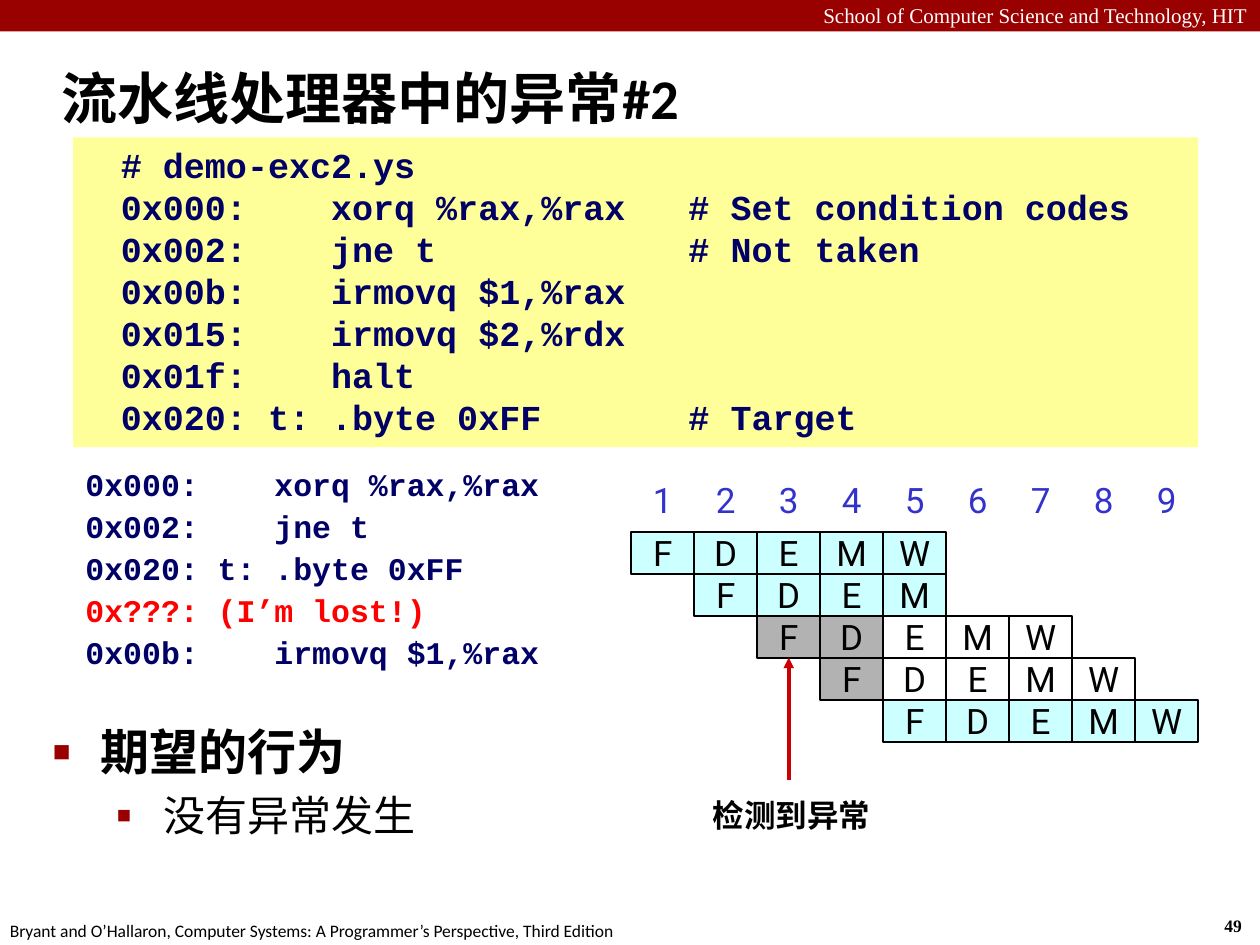
from dataclasses import dataclass

from lxml import etree
from pptx import Presentation
from pptx import util as u
from pptx.dml.color import RGBColor
from pptx.enum import shapes, text
from pptx.oxml.ns import qn


@dataclass(frozen=True)
class Theme:
    # Colours
    black: str = "000000"
    white: str = "FFFFFF"
    banner: str = "990000"
    code_fill: str = "FFFF99"
    code: str = "000066"
    lost: str = "FF0000"
    cycle: str = "3333CC"
    active: str = "CCFFFF"
    stalled: str = "B2B2B2"
    arrow: str = "CC0000"
    # Fonts
    sans: str = "Calibri"
    serif: str = "Times New Roman"
    mono: str = "Courier New"
    stage: str = "Roboto"
    # Type sizes in points
    title: int = 32
    bullet: int = 28
    sub_bullet: int = 24
    large: int = 20
    medium: int = 18
    banner_size: int = 12
    footer: int = 10


THEME = Theme()
CELL_WIDTH = 0.5
ROW_PITCH = 1 / 3
GRID_LEFT, GRID_TOP = 5.01, 4.22

PROGRAM = [
    "# demo-exc2.ys",
    "0x000:    xorq %rax,%rax   # Set condition codes",
    "0x002:    jne t            # Not taken",
    "0x00b:    irmovq $1,%rax",
    "0x015:    irmovq $2,%rdx",
    "0x01f:    halt",
    "0x020: t: .byte 0xFF       # Target",
]

# Instruction, text colour, stages, and the fill of each stage
PIPELINE = [
    ("0x000:    xorq %rax,%rax", THEME.code, "FDEMW", [THEME.active] * 5),
    ("0x002:    jne t", THEME.code, "FDEM", [THEME.active] * 4),
    ("0x020: t: .byte 0xFF", THEME.code, "FDEMW",
     [THEME.stalled] * 2 + [THEME.white] * 3),
    ("0x???: (I’m lost!)", THEME.lost, "FDEMW",
     [THEME.stalled] + [THEME.white] * 4),
    ("0x00b:    irmovq $1,%rax", THEME.code, "FDEMW", [THEME.active] * 5),
]


def rgb(colour):
    return RGBColor.from_string(colour)


def add_run(paragraph, words, font, size, colour, bold=False):
    run = paragraph.add_run()
    run.text = words
    run.font.name = font
    run.font.size = u.Pt(size)
    run.font.color.rgb = rgb(colour)
    run.font.bold = bold


def place(shape, left, top, width, height):
    shape.left, shape.top = u.Inches(left), u.Inches(top)
    shape.width, shape.height = u.Inches(width), u.Inches(height)


def add_box(slide, left, top, width, height, fill, line=None):
    shape = slide.shapes.add_shape(
        shapes.MSO_SHAPE.RECTANGLE, u.Inches(left), u.Inches(top),
        u.Inches(width), u.Inches(height))
    shape.shadow.inherit = False
    shape.fill.solid()
    shape.fill.fore_color.rgb = rgb(fill)
    if line:
        shape.line.color.rgb = rgb(line)
        shape.line.width = u.Pt(1)
    else:
        shape.line.fill.background()
    return shape


def add_cell(slide, box, words, font, size, colour, fill, line=None,
             bold=False, align=text.PP_ALIGN.CENTER):
    frame = add_box(slide, *box, fill, line).text_frame
    frame.word_wrap = False
    frame.vertical_anchor = text.MSO_ANCHOR.MIDDLE
    paragraph = frame.paragraphs[0]
    paragraph.alignment = align
    add_run(paragraph, words, font, size, colour, bold)


def add_label(slide, box, words, font, size, colour, bold=False,
              align=text.PP_ALIGN.LEFT, wrap=True):
    frame = slide.shapes.add_textbox(*map(u.Inches, box)).text_frame
    frame.word_wrap = wrap
    paragraph = frame.paragraphs[0]
    paragraph.alignment = align
    add_run(paragraph, words, font, size, colour, bold)


def set_bullet(paragraph, char, percent, margin, indent):
    properties = paragraph._p.get_or_add_pPr()
    properties.set("marL", str(u.Inches(margin)))
    properties.set("indent", str(u.Inches(-indent)))
    colour = etree.SubElement(properties, qn("a:buClr"))
    etree.SubElement(colour, qn("a:srgbClr"), val=THEME.banner)
    etree.SubElement(properties, qn("a:buSzPct"), val=str(percent * 1000))
    etree.SubElement(properties, qn("a:buChar"), char=char)


def add_banner_and_footer(slide):
    add_box(slide, 0, 0, 10, 0.25, THEME.banner)
    add_label(slide, (0, -0.03, 10, 0.3),
              "School of Computer Science and Technology, HIT",
              THEME.serif, THEME.banner_size, THEME.white,
              align=text.PP_ALIGN.RIGHT)
    add_label(slide, (9.62, 7.21, 0.37, 0.27), "49", THEME.serif,
              THEME.footer, THEME.black, bold=True, wrap=False)
    add_label(slide, (-0.02, 7.25, 5.08, 0.27),
              "Bryant and O’Hallaron, Computer Systems: "
              "A Programmer’s Perspective, Third Edition",
              THEME.sans, THEME.footer, THEME.black, wrap=False)


def fill_title(slide):
    title = slide.shapes.title
    place(title, 0.39, 0.36, 9.61, 0.83)
    title.text_frame.vertical_anchor = text.MSO_ANCHOR.MIDDLE
    paragraph = title.text_frame.paragraphs[0]
    paragraph.alignment = text.PP_ALIGN.LEFT
    add_run(paragraph, "流水线处理器中的异常#2", THEME.sans, THEME.title,
            THEME.black, bold=True)


def fill_body(slide):
    body = slide.placeholders[1]
    place(body, 0.32, 5.68, 9.08, 1.29)
    frame = body.text_frame
    heading = frame.paragraphs[0]
    set_bullet(heading, "■", 60, 0.38, 0.38)
    add_run(heading, "期望的行为", THEME.sans, THEME.bullet, THEME.black, True)
    detail = frame.add_paragraph()
    detail.level = 1
    set_bullet(detail, "▪", 110, 0.88, 0.38)
    add_run(detail, "没有异常发生", THEME.sans, THEME.sub_bullet, THEME.black)


def add_program(slide):
    frame = add_box(slide, 0.58, 1.09, 8.93, 2.46, THEME.code_fill).text_frame
    frame.word_wrap = True
    frame.vertical_anchor = text.MSO_ANCHOR.TOP
    frame.margin_left = u.Inches(0.38)
    frame.margin_top = frame.margin_right = frame.margin_bottom = u.Inches(0.05)
    for index, line in enumerate(PROGRAM):
        paragraph = frame.add_paragraph() if index else frame.paragraphs[0]
        paragraph.alignment = text.PP_ALIGN.LEFT
        add_run(paragraph, line, THEME.mono, THEME.large, THEME.code, True)


def add_pipeline(slide):
    # Cycle numbers
    for column in range(9):
        box = (GRID_LEFT + column * CELL_WIDTH, 3.8, CELL_WIDTH, ROW_PITCH)
        add_cell(slide, box, str(column + 1), THEME.stage, THEME.large,
                 THEME.cycle, THEME.white)
    # Each instruction starts one cycle after the one above
    for row, (instruction, colour, stages, fills) in enumerate(PIPELINE):
        offset = row * ROW_PITCH
        add_cell(slide, (0.58, 3.67 + offset, 2.84, ROW_PITCH), instruction,
                 THEME.mono, THEME.medium, colour, THEME.white, bold=True,
                 align=text.PP_ALIGN.LEFT)
        for column, (stage, fill) in enumerate(zip(stages, fills), start=row):
            box = (GRID_LEFT + column * CELL_WIDTH, GRID_TOP + offset,
                   CELL_WIDTH, ROW_PITCH)
            add_cell(slide, box, stage, THEME.stage, THEME.large, THEME.black,
                     fill, THEME.black)


def add_exception_marker(slide):
    arrow = slide.shapes.add_connector(
        shapes.MSO_CONNECTOR.STRAIGHT, u.Inches(6.26), u.Inches(6.19),
        u.Inches(6.26), u.Inches(5.22))
    arrow.line.color.rgb = rgb(THEME.arrow)
    arrow.line.width = u.Pt(2)
    etree.SubElement(arrow.line._get_or_add_ln(), qn("a:tailEnd"),
                     type="triangle")
    etree.SubElement(arrow._element.spPr, qn("a:effectLst"))
    add_label(slide, (5.56, 6.27, 1.69, 0.4), "检测到异常", THEME.sans,
              THEME.medium, THEME.black, bold=True)


def main():
    presentation = Presentation()
    presentation.slide_width = u.Inches(10)
    presentation.slide_height = u.Inches(7.5)
    slide = presentation.slides.add_slide(presentation.slide_layouts[1])
    add_banner_and_footer(slide)
    fill_title(slide)
    fill_body(slide)
    add_program(slide)
    add_pipeline(slide)
    add_exception_marker(slide)
    presentation.save("out.pptx")


if __name__ == "__main__":
    main()
